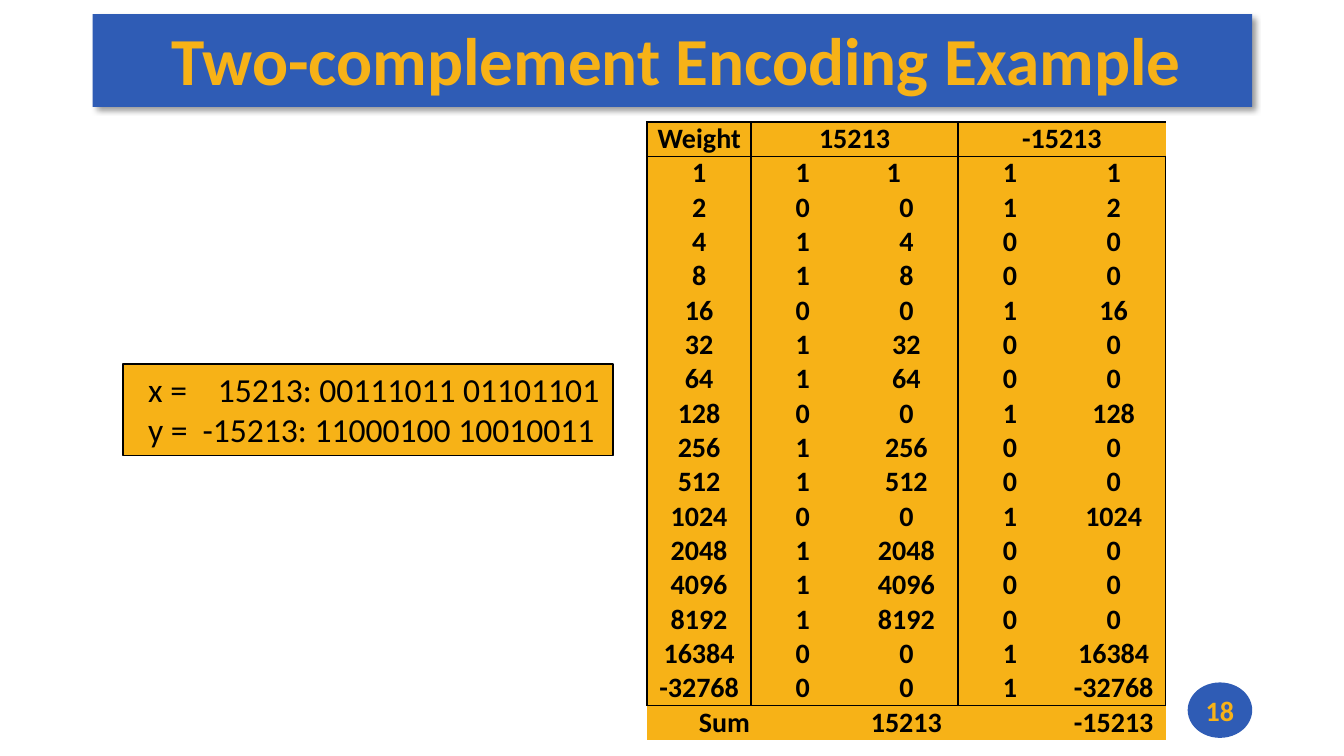
from lxml import etree
from pptx import Presentation, util as u
from pptx.dml.color import RGBColor
from pptx.enum import shapes, text
from pptx.oxml import parse_xml
from pptx.oxml.ns import qn

BLUE, GOLD, BLACK = "2F5CB5", "F7B217", "000000"
NUMBER = 15213
BITS = 16
COLUMNS, ROWS = 5, BITS + 2
TABLE_BOX = (6.42, 1.21, 5.14, 6)
BANNER_BOX = (0.92, 0.14, 11.5, 0.92)
NAMESPACE = "http://schemas.openxmlformats.org/drawingml/2006/main"
CENTER, RIGHT, LEFT = text.PP_ALIGN.CENTER, text.PP_ALIGN.RIGHT, text.PP_ALIGN.LEFT


def color(hex_string):
    return RGBColor.from_string(hex_string)


def inches(box):
    return [u.Inches(length) for length in box]


def write(paragraph, content, size=20, fill=BLACK, bold=False, align=CENTER, tab=None):
    paragraph.alignment = align
    if tab:
        tabs = etree.SubElement(paragraph._p.get_or_add_pPr(), qn("a:tabLst"))
        etree.SubElement(tabs, qn("a:tab"), pos=str(u.Inches(tab)), algn="l")
    run = paragraph.add_run()
    run.text = content
    run.font.name = "Calibri"
    run.font.size = u.Pt(size)
    run.font.bold = bold
    run.font.color.rgb = color(fill)


def set_margins(target, left=0, top=0, right=0, bottom=0):
    target.margin_left, target.margin_top, target.margin_right, target.margin_bottom = inches(
        (left, top, right, bottom))


def add_filled_shape(slide, kind, box, fill, line=None):
    shape = slide.shapes.add_shape(kind, *inches(box))
    shape.shadow.inherit = False
    shape.fill.solid()
    shape.fill.fore_color.rgb = color(fill)
    if line:
        shape.line.color.rgb = color(line)
        shape.line.width = u.Pt(1)
    else:
        shape.line.fill.background()
    return shape


def add_shadow(shape):
    effects = shape._element.spPr.find(qn("a:effectLst"))
    effects.append(parse_xml(
        f'<a:outerShdw xmlns:a="{NAMESPACE}" blurRad="{u.Pt(4)}" dist="{u.Pt(3)}" '
        f'dir="2700000" algn="tl" rotWithShape="0"><a:srgbClr val="{BLACK}">'
        '<a:alpha val="40000"/></a:srgbClr></a:outerShdw>'))


def add_title(slide, content):
    banner = add_filled_shape(slide, shapes.MSO_SHAPE.RECTANGLE, BANNER_BOX, BLUE)
    add_shadow(banner)
    title = slide.shapes.title
    title._element.addprevious(banner._element)
    title.left, title.top, title.width, title.height = inches((0.92, 0.12, 11.5, 0.92))
    frame = title.text_frame
    set_margins(frame, 0.08, 0.03, 0, 0.03)
    frame.vertical_anchor = text.MSO_ANCHOR.MIDDLE
    write(frame.paragraphs[0], content, size=48, fill=GOLD, bold=True)


def add_page_number(slide, number):
    badge = add_filled_shape(slide, shapes.MSO_SHAPE.OVAL, (11.78, 6.77, 0.64, 0.55), BLUE)
    set_margins(badge.text_frame)
    badge.text_frame.word_wrap = False
    write(badge.text_frame.paragraphs[0], str(number), fill=GOLD, bold=True)


def add_encodings(slide):
    panel = add_filled_shape(slide, shapes.MSO_SHAPE.RECTANGLE, (1.22, 3.61, 4.86, 0.91),
                             GOLD, line=BLACK)
    frame = panel.text_frame
    set_margins(frame, 0.25, 0.05, 0, 0.05)
    frame.vertical_anchor = text.MSO_ANCHOR.TOP
    lines = (("x =\t15213: 00111011 01101101", 0.69), ("y =\t-15213: 11000100 10010011", 0.54))
    for index, (content, tab) in enumerate(lines):
        paragraph = frame.add_paragraph() if index else frame.paragraphs[0]
        write(paragraph, content, size=24, align=LEFT, tab=tab)


def set_borders(cell, widths):
    """Draw the left, right, top and bottom borders; a width of 0 hides one."""
    properties = cell._tc.get_or_add_tcPr()
    for side, width in zip("LRTB", widths):
        line = etree.SubElement(properties, qn(f"a:ln{side}"), w=str(u.Pt(width)))
        if width:
            fill = etree.SubElement(line, qn("a:solidFill"))
            etree.SubElement(fill, qn("a:srgbClr"), val=BLACK)
        else:
            etree.SubElement(line, qn("a:noFill"))


def border_widths(row, column):
    framed = row < ROWS - 1
    above = {0: 1.5, 1: 1, ROWS - 1: 1.5}
    below = {0: 1, ROWS - 2: 1.5}
    return (1.5 if framed and column in (0, 1, 3) else 0,
            1.5 if framed and column in (0, 2, 4) else 0,
            above.get(row, 0), below.get(row, 0))


def weight_rows():
    """Each bit's weight, then the bit and its share of x and of -x."""
    yield ["Weight", NUMBER, "", -NUMBER, ""]
    for position in range(BITS):
        weight = 2 ** position * (-1 if position == BITS - 1 else 1)
        row = [weight]
        for number in (NUMBER, -NUMBER):
            bit = number >> position & 1
            row += [bit, bit * weight]
        yield row
    yield ["Sum", "", NUMBER, "", -NUMBER]


def add_weight_table(slide):
    table = slide.shapes.add_table(ROWS, COLUMNS, *inches(TABLE_BOX)).table
    table.first_row = table.horz_banding = False
    for table_row in table.rows:
        table_row.height = u.Inches(TABLE_BOX[3] / ROWS)
    for row, values in enumerate(weight_rows()):
        for column, value in enumerate(values):
            cell = table.cell(row, column)
            set_margins(cell, 0.01, 0, 0.26 if (row, column) == (1, 2) else 0.01, 0)
            set_borders(cell, border_widths(row, column))
            cell.fill.solid()
            cell.fill.fore_color.rgb = color(GOLD)
            if value != "":
                write(cell.text_frame.paragraphs[0], str(value), bold=True,
                      align=RIGHT if value == "Sum" else CENTER)
    for column in (1, 3):
        table.cell(0, column).merge(table.cell(0, column + 1))


def main():
    presentation = Presentation()
    presentation.slide_width, presentation.slide_height = inches((13.33, 7.5))
    slide = presentation.slides.add_slide(presentation.slide_layouts[5])
    add_title(slide, "Two-complement Encoding Example")
    add_page_number(slide, 18)
    add_encodings(slide)
    add_weight_table(slide)
    presentation.save("out.pptx")


if __name__ == "__main__":
    main()
